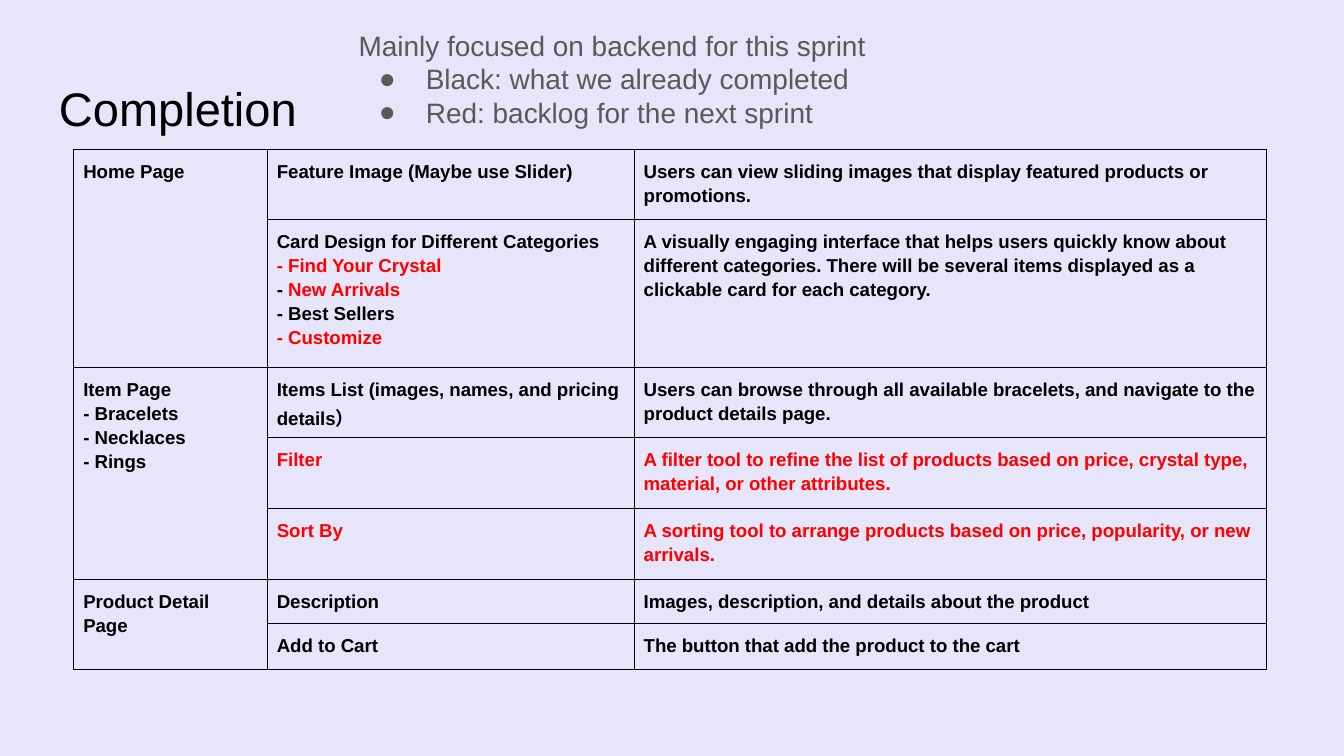
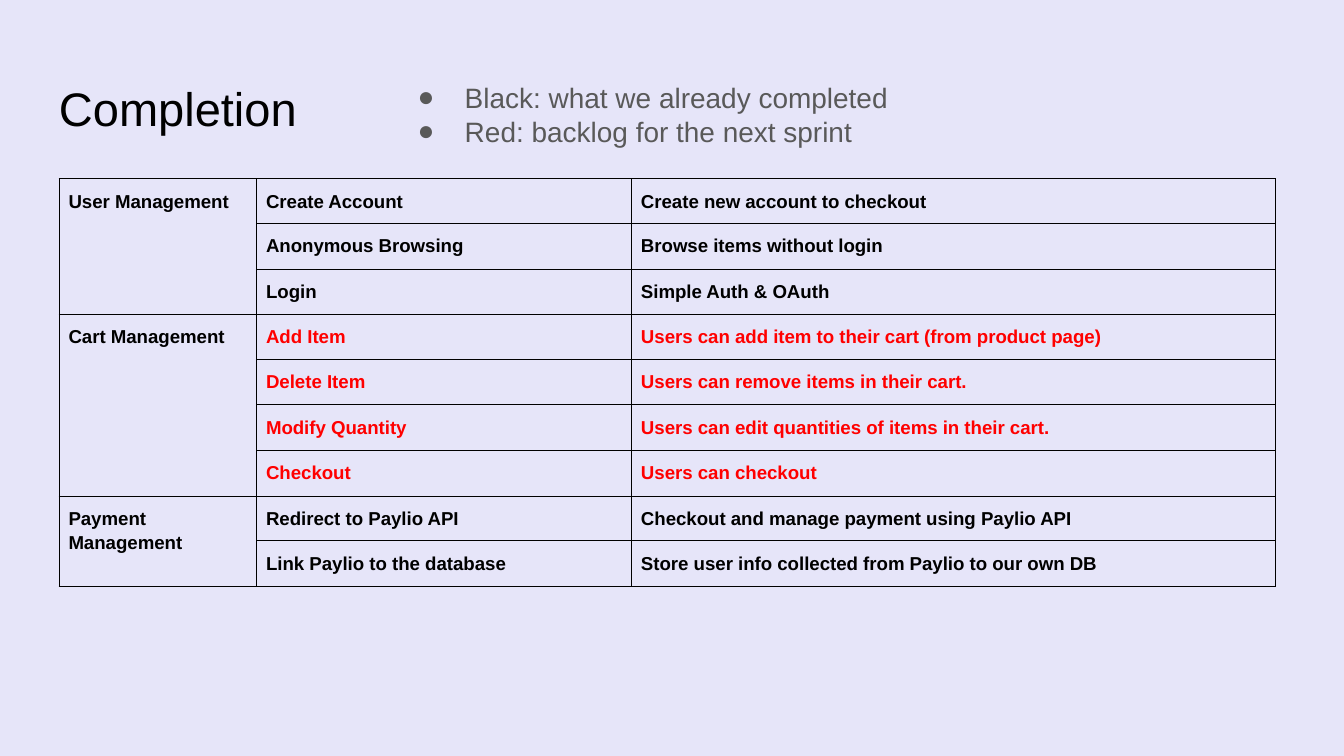
"""Build two sprint completion slides with feature tables."""
from lxml import etree
from pptx import Presentation
from pptx import util as u
from pptx.dml.color import RGBColor
from pptx.enum import text
from pptx.oxml import ns

FONT = "Arial"
LAVENDER = RGBColor(0xE6, 0xE5, 0xF9)
BLACK = RGBColor(0, 0, 0)
RED = RGBColor(0xFF, 0, 0)
GRAY = RGBColor(0x59, 0x59, 0x59)

WIDTH = 10
HEIGHT = WIDTH * 9 / 16
TITLE_SIZE, LEGEND_SIZE, CELL_SIZE = 25.2, 15, 10
CELL_INSET = 0.07
BOX_INSET = 0.1
BORDER_POINTS = 0.5
TABLE_FRAME = 3.28
FIT = 0.01
BACKLOG_MARK = "|"

TITLE = "Completion"
INTRO = "Mainly focused on backend for this sprint"
LEGEND = ["Black: what we already completed", "Red: backlog for the next sprint"]

PAGES = [
    ("Home Page", [
        (0.51, "Feature Image (Maybe use Slider)",
         "Users can view sliding images that display featured products or promotions."),
        (FIT, "Card Design for Different Categories\n|- Find Your Crystal\n- |New Arrivals\n"
              "- Best Sellers\n|- Customize",
         "A visually engaging interface that helps users quickly know about different categories. "
         "There will be several items displayed as a clickable card for each category."),
    ]),
    ("Item Page\n- Bracelets\n- Necklaces\n- Rings", [
        (FIT, "Items List (images, names, and pricing details）",
         "Users can browse through all available bracelets, and navigate to the product details page."),
        (0.53, "|Filter",
         "|A filter tool to refine the list of products based on price, crystal type, "
         "material, or other attributes."),
        (FIT, "|Sort By",
         "|A sorting tool to arrange products based on price, popularity, or new arrivals."),
    ]),
    ("Product Detail Page", [
        (FIT, "Description", "Images, description, and details about the product"),
        (0.34, "Add to Cart", "The button that add the product to the cart"),
    ]),
]

MANAGEMENT = [
    ("User Management", [
        (FIT, "Create Account", "Create new account to checkout"),
        (0.34, "Anonymous Browsing", "Browse items without login"),
        (0.34, "Login", "Simple Auth & OAuth"),
    ]),
    ("Cart Management", [
        (FIT, "|Add Item", "|Users can add item to their cart (from product page)"),
        (0.34, "|Delete Item", "|Users can remove items in their cart."),
        (0.34, "|Modify Quantity", "|Users can edit quantities of items in their cart."),
        (0.34, "|Checkout", "|Users can checkout"),
    ]),
    ("Payment Management", [
        (FIT, "Redirect to Paylio API", "Checkout and manage payment using Paylio API"),
        (0.34, "Link Paylio to the database",
         "Store user info collected from Paylio to our own DB"),
    ]),
]

SLIDES = [
    {"intro": [INTRO], "legend_at": (2.57, 0.11), "table_at": (0.55, 1.11),
     "columns": (1.44, 2.73, 4.7), "groups": PAGES},
    {"intro": [], "legend_at": (2.86, 0.5), "table_at": (0.44, 1.33),
     "columns": (1.47, 2.79, 4.79), "groups": MANAGEMENT},
]


def style_run(run, size, color, bold=False):
    run.font.name = FONT
    run.font.size = u.Pt(size)
    run.font.bold = bold
    run.font.color.rgb = color


def add_bullet(paragraph):
    properties = paragraph._p.get_or_add_pPr()
    properties.set("marL", str(u.Inches(0.5)))
    properties.set("indent", str(u.Inches(-0.35)))
    color = etree.SubElement(properties, ns.qn("a:buClr"))
    etree.SubElement(color, ns.qn("a:srgbClr"), val=str(GRAY))
    etree.SubElement(properties, ns.qn("a:buSzPts"), val=str(LEGEND_SIZE * 100))
    etree.SubElement(properties, ns.qn("a:buFont"), typeface=FONT)
    etree.SubElement(properties, ns.qn("a:buChar"), char="●")


def add_text(slide, box, lines, size, color, bulleted=()):
    frame = slide.shapes.add_textbox(*map(u.Inches, box)).text_frame
    frame.word_wrap = True
    frame.margin_left = frame.margin_right = u.Inches(BOX_INSET)
    frame.margin_top = frame.margin_bottom = u.Inches(BOX_INSET)
    frame.text = "\n".join(lines)
    for paragraph, line in zip(frame.paragraphs, lines):
        style_run(paragraph.runs[0], size, color)
        if line in bulleted:
            add_bullet(paragraph)


def add_borders(cell):
    properties = cell._tc.get_or_add_tcPr()
    for index, side in enumerate(("a:lnL", "a:lnR", "a:lnT", "a:lnB")):
        line = etree.Element(ns.qn(side), w=str(u.Pt(BORDER_POINTS)))
        fill = etree.SubElement(line, ns.qn("a:solidFill"))
        etree.SubElement(fill, ns.qn("a:srgbClr"), val=str(BLACK))
        properties.insert(index, line)


def format_cell(cell):
    cell.fill.background()
    cell.margin_left = cell.margin_right = u.Inches(CELL_INSET)
    cell.margin_top = cell.margin_bottom = u.Inches(CELL_INSET)
    cell.vertical_anchor = text.MSO_ANCHOR.TOP
    add_borders(cell)


def fill_cell(cell, content):
    lines = content.split("\n")
    cell.text_frame.text = "\n" * (len(lines) - 1)
    for paragraph, line in zip(cell.text_frame.paragraphs, lines):
        paragraph.line_spacing = 1.15
        paragraph.space_before = paragraph.space_after = u.Pt(0)
        done, _, backlog = line.partition(BACKLOG_MARK)
        for part, color in ((done, BLACK), (backlog, RED)):
            if part:
                run = paragraph.add_run()
                run.text = part
                style_run(run, CELL_SIZE, color, bold=True)
        etree.SubElement(paragraph._p, ns.qn("a:endParaRPr"), sz=str(CELL_SIZE * 100), b="1")


def add_feature_table(slide, position, columns, groups):
    rows = [(name if index == 0 else "", *row)
            for name, features in groups for index, row in enumerate(features)]
    box = (*position, TABLE_FRAME, TABLE_FRAME)
    frame = slide.shapes.add_table(len(rows), len(columns), *map(u.Inches, box))
    table = frame.table
    table.first_row = table.horz_banding = False
    for column, width in zip(table.columns, columns):
        column.width = u.Inches(width)
    for row, (name, height, feature, description) in zip(table.rows, rows):
        row.height = u.Inches(height)
        for cell, content in zip(row.cells, (name, feature, description)):
            format_cell(cell)
            fill_cell(cell, content)
    start = 0
    for _, features in groups:
        end = start + len(features)
        table.cell(start, 0).merge(table.cell(end - 1, 0))
        start = end
    frame.width = frame.height = u.Inches(TABLE_FRAME)


def add_completion_slide(presentation, content):
    slide = presentation.slides.add_slide(presentation.slide_layouts[6])
    slide.background.fill.solid()
    slide.background.fill.fore_color.rgb = LAVENDER
    add_text(slide, (0.34, 0.49, 9.32, 0.63), [TITLE], TITLE_SIZE, BLACK)
    add_feature_table(slide, content["table_at"], content["columns"], content["groups"])
    legend_box = (*content["legend_at"], 6.26, 0.68)
    add_text(slide, legend_box, content["intro"] + LEGEND, LEGEND_SIZE, GRAY, LEGEND)


def main():
    presentation = Presentation()
    presentation.slide_width = u.Inches(WIDTH)
    presentation.slide_height = u.Inches(HEIGHT)
    for content in SLIDES:
        add_completion_slide(presentation, content)
    presentation.save("out.pptx")


if __name__ == "__main__":
    main()
